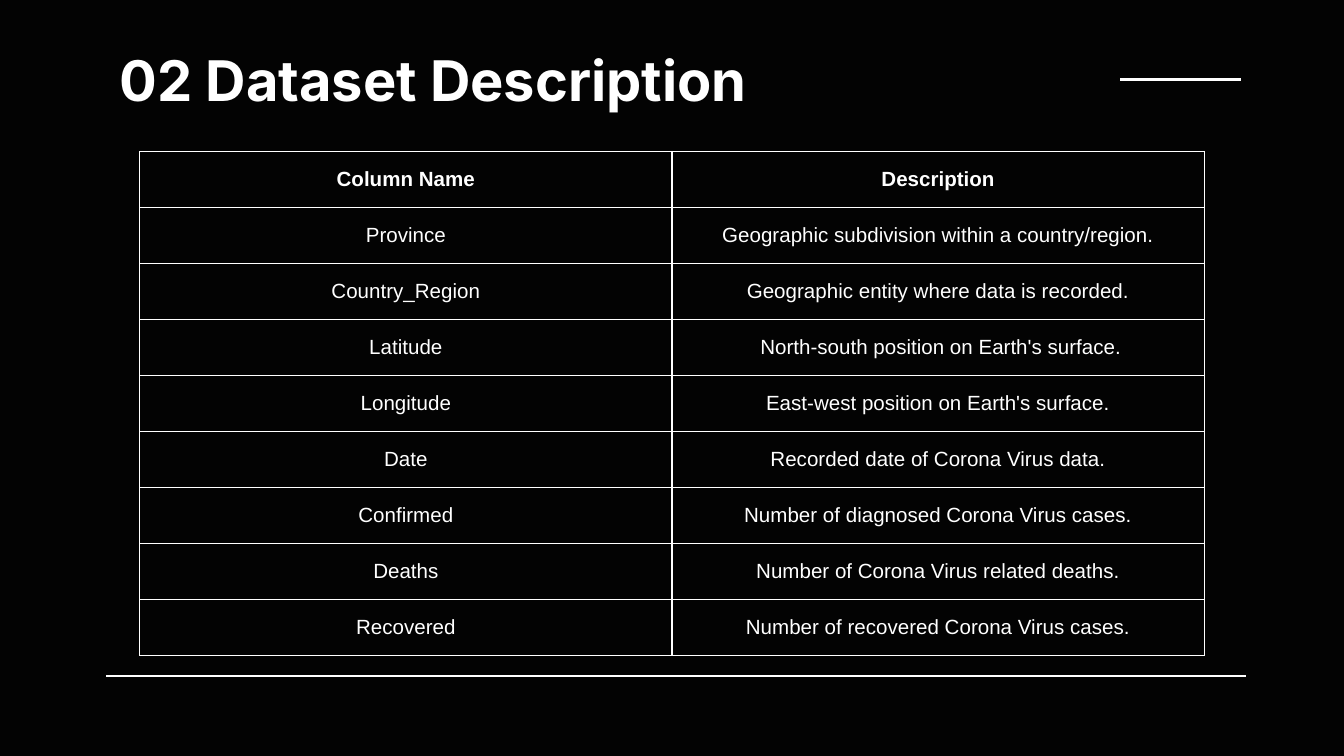
from collections import namedtuple

from lxml.etree import SubElement
from pptx import Presentation
from pptx.dml.color import RGBColor
from pptx.enum.shapes import MSO_CONNECTOR
from pptx.enum.text import MSO_ANCHOR, MSO_AUTO_SIZE, PP_ALIGN
from pptx.oxml.ns import qn
from pptx.util import Inches, Pt

Box = namedtuple("Box", "left top width height")

COLORS = {"background": "030303", "foreground": "FFFFFF"}
PAGE_WIDTH = 10
PAGE_HEIGHT = PAGE_WIDTH * 9 / 16
INSET = Inches(0.1)

TITLE_BOX = Box(0.79, 0.24, 8.43, 0.63)
TABLE_BOX = Box(1.04, 1.13, 7.92, 3.75)
ACCENT_RULE = Box(8.33, 0.59, 0.9, 0)
FOOTER_RULE = Box(0.79, 5.03, 8.48, 0)

ROWS = [
    ("Column Name", "Description"),
    ("Province", "Geographic subdivision within a country/region."),
    ("Country_Region", "Geographic entity where data is recorded."),
    ("Latitude", " North-south position on Earth's surface."),
    ("Longitude", "East-west position on Earth's surface."),
    ("Date", "Recorded date of Corona Virus data."),
    ("Confirmed", "Number of diagnosed Corona Virus cases."),
    ("Deaths", "Number of Corona Virus related deaths."),
    ("Recovered", "Number of recovered Corona Virus cases."),
]


def rgb(name):
    return RGBColor.from_string(COLORS[name])


def write_text(frame, text, font="Arial", size=11, bold=False, align=PP_ALIGN.CENTER):
    para = frame.paragraphs[0]
    para.alignment = align
    span = para.add_run()
    span.text = text
    span.font.name = font
    span.font.size = Pt(size)
    span.font.bold = bold
    span.font.color.rgb = rgb("foreground")


def set_insets(target):
    target.margin_left = target.margin_right = INSET
    target.margin_top = target.margin_bottom = INSET


def add_rule(page, box):
    left, top, width, height = map(Inches, box)
    rule = page.shapes.add_connector(
        MSO_CONNECTOR.STRAIGHT, left + width, top + height, left, top
    )
    rule.line.color.rgb = rgb("foreground")
    rule.line.width = Pt(1.5)
    SubElement(rule._element.spPr, qn("a:effectLst"))


def place_title(page, box, text):
    title = page.shapes.title
    title.left, title.top, title.width, title.height = map(Inches, box)
    frame = title.text_frame
    frame.word_wrap = True
    frame.auto_size = MSO_AUTO_SIZE.NONE
    frame.vertical_anchor = MSO_ANCHOR.TOP
    set_insets(frame)
    write_text(frame, text, font="Inter", size=30, bold=True, align=PP_ALIGN.LEFT)


def add_borders(cell):
    properties = cell._tc.get_or_add_tcPr()
    for side in ("a:lnL", "a:lnR", "a:lnT", "a:lnB"):
        border = SubElement(properties, qn(side), w=str(Pt(0.75)))
        fill = SubElement(border, qn("a:solidFill"))
        SubElement(fill, qn("a:srgbClr"), val=COLORS["foreground"])


def add_column_table(page, box, rows):
    """Draw an evenly spaced grid whose first row is the bold header."""
    left, top, width, height = map(Inches, box)
    table = page.shapes.add_table(
        len(rows), len(rows[0]), left, top, width, height
    ).table
    table.horz_banding = False
    for row_index, texts in enumerate(rows):
        for column_index, text in enumerate(texts):
            cell = table.cell(row_index, column_index)
            add_borders(cell)
            cell.fill.background()
            cell.vertical_anchor = MSO_ANCHOR.MIDDLE
            set_insets(cell)
            write_text(cell.text_frame, text, bold=row_index == 0)


def build_dataset_slide(deck):
    title_only = deck.slide_layouts.get_by_name("Title Only")
    page = deck.slides.add_slide(title_only)
    page.background.fill.solid()
    page.background.fill.fore_color.rgb = rgb("background")
    for rule_box in (ACCENT_RULE, FOOTER_RULE):
        add_rule(page, rule_box)
    place_title(page, TITLE_BOX, "02 Dataset Description")
    add_column_table(page, TABLE_BOX, ROWS)


def main():
    deck = Presentation()
    deck.slide_width = Inches(PAGE_WIDTH)
    deck.slide_height = Inches(PAGE_HEIGHT)
    build_dataset_slide(deck)
    deck.save("out.pptx")


if __name__ == "__main__":
    main()
